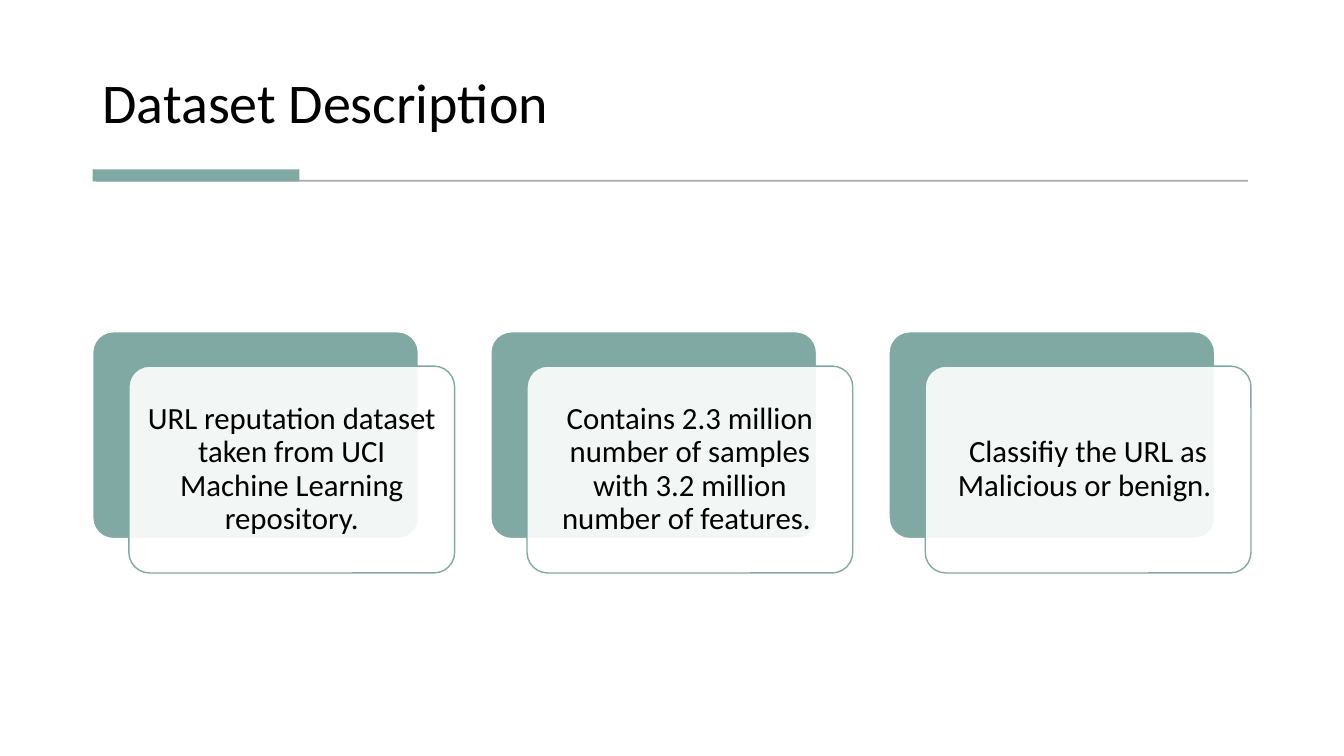
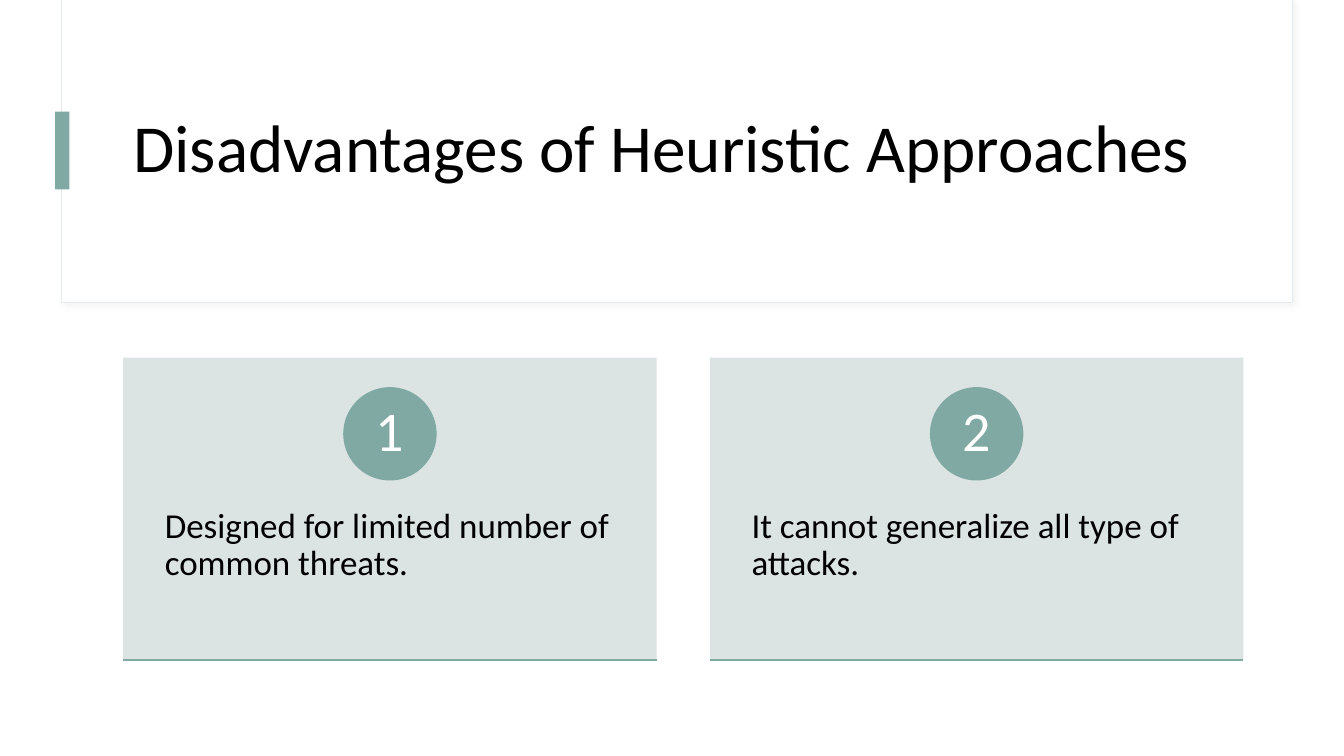
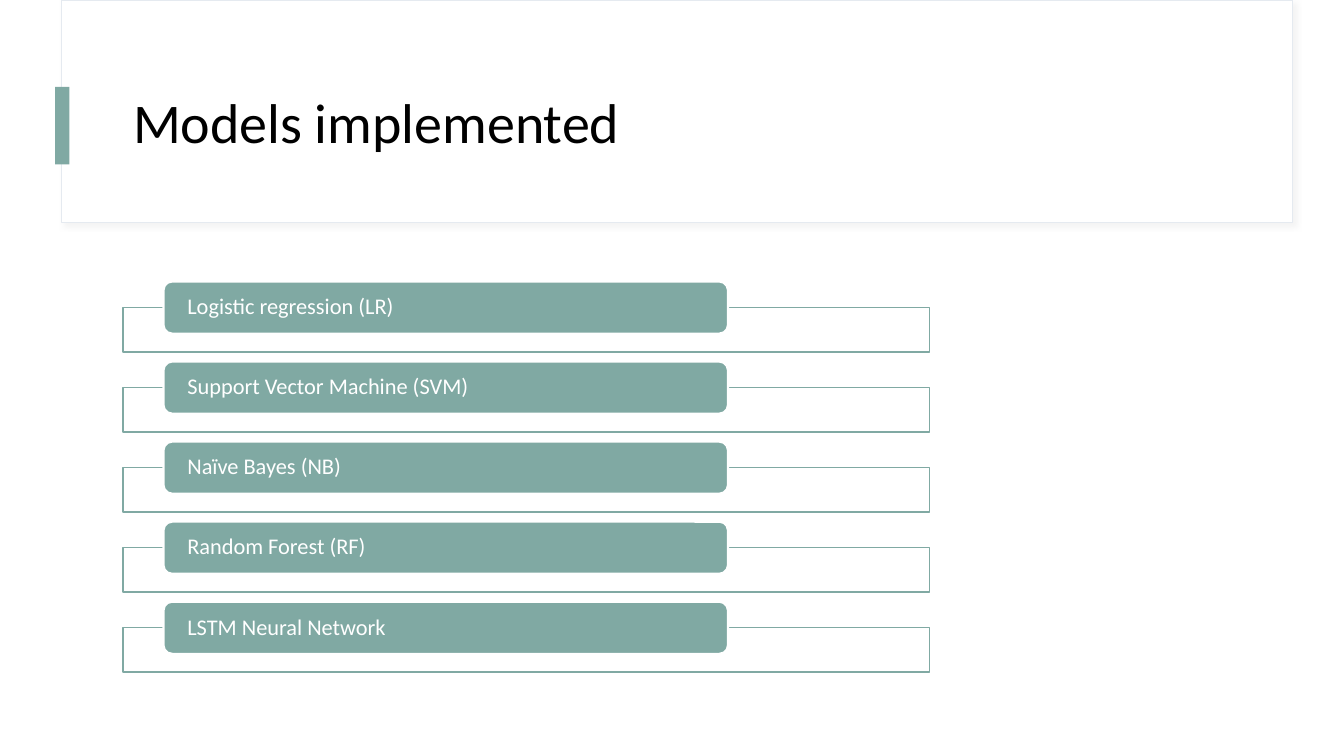
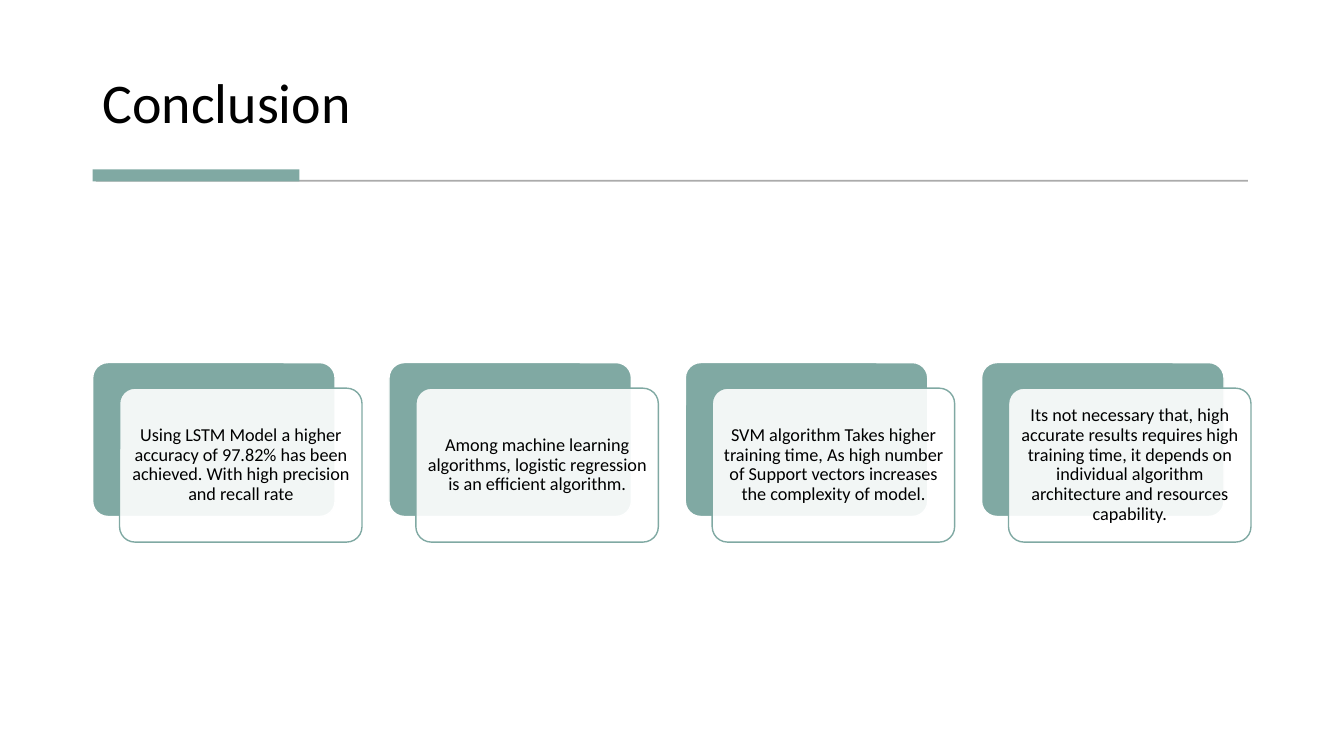
from pptx import Presentation
from pptx.dml.color import RGBColor
from pptx.enum.shapes import MSO_CONNECTOR, MSO_SHAPE
from pptx.enum.text import MSO_ANCHOR, PP_ALIGN
from pptx.oxml import parse_xml
from pptx.oxml.ns import nsdecls
from pptx.util import Emu, Pt

RECT, ROUND, OVAL = MSO_SHAPE.RECTANGLE, MSO_SHAPE.ROUNDED_RECTANGLE, MSO_SHAPE.OVAL
STRAIGHT = MSO_CONNECTOR.STRAIGHT
TOP, MIDDLE, BOTTOM = MSO_ANCHOR.TOP, MSO_ANCHOR.MIDDLE, MSO_ANCHOR.BOTTOM
LEFT, CENTER = PP_ALIGN.LEFT, PP_ALIGN.CENTER

# Shared style: a grid of 160 columns by 90 rows, square cells
COLUMNS, ROWS, CELL = 160, 90, 76200
POINTS_PER_CELL = 6
FONT = "Calibri"
BLACK, WHITE, TEAL = "000000", "FFFFFF", "80A9A3"
MIST, FRAME, GREY = "D8E2E0", "E5EAF0", "595959"
CONTENT_LEFT, CONTENT_WIDTH = 11.03, 137.9
HEADER_LEFT = 14.67


def color(code):
    return RGBColor.from_string(code)


def grid(*lengths):
    return [Emu(round(length * CELL)) for length in lengths]


def apply(target, values):
    for name, value in values.items():
        setattr(target, name, value)


class Deck:
    def __init__(self):
        self.show = Presentation()
        self.show.slide_width, self.show.slide_height = grid(COLUMNS, ROWS)
        self.page = None

    def new_page(self):
        self.page = self.show.slides.add_slide(self.show.slide_layouts[6])

    # Basic elements
    def fade(self, shape, fill_place, percent):
        for tint in shape.element.spPr.xpath(fill_place + "/a:srgbClr"):
            tint.append(parse_xml(f'<a:alpha {nsdecls("a")} val="{percent * 1000}"/>'))

    def shape(self, kind, place, fill, line=None, width=1, alpha=None, corner=None):
        shape = self.page.shapes.add_shape(kind, *grid(*place))
        shape.shadow.inherit = False
        shape.fill.solid()
        shape.fill.fore_color.rgb = color(fill)
        if line:
            shape.line.color.rgb = color(line)
            shape.line.width = Pt(width)
        else:
            shape.line.fill.background()
        if alpha:
            self.fade(shape, "./a:solidFill", alpha)
        if corner:
            shape.adjustments[0] = corner
        return shape

    def rule(self, left, top, width, ink, weight=1, alpha=None):
        line = self.page.shapes.add_connector(
            STRAIGHT, *grid(left, top, left + width, top))
        line.line.color.rgb = color(ink)
        line.line.width = Pt(weight)
        line.element.spPr.append(parse_xml(f'<a:effectLst {nsdecls("a")}/>'))
        if alpha:
            self.fade(line, "./a:ln/a:solidFill", alpha)

    def put_text(self, box, text, size, ink=BLACK, align=LEFT, anchor=MIDDLE,
                 margins=(1.2, 0.6, 1.2, 0.6)):
        left, top, right, bottom = grid(*margins)
        frame = box.text_frame
        apply(frame, {"word_wrap": True, "vertical_anchor": anchor,
                      "margin_left": left, "margin_top": top,
                      "margin_right": right, "margin_bottom": bottom})
        para = frame.paragraphs[0]
        apply(para, {"alignment": align, "line_spacing": 0.9})
        span = para.add_run()
        span.text = text
        apply(span.font, {"name": FONT, "size": Pt(size)})
        span.font.color.rgb = color(ink)

    def title(self, text, place, size=40, anchor=MIDDLE):
        box = self.page.shapes.add_textbox(*grid(*place))
        self.put_text(box, text, size, anchor=anchor)

    # Title styles
    def ruled_title(self, text):
        self.title(text, (CONTENT_LEFT, 3.36, CONTENT_WIDTH, 13.32), anchor=BOTTOM)
        self.rule(11.4, 21.53, 137.16, GREY, 1.25, 50)
        self.shape(RECT, (CONTENT_LEFT, 20.16, 24.6, 1.44), TEAL)

    def framed_title(self, text, frame_height, place, mark_top, size=40):
        frame = self.shape(RECT, (7.33, 0, 146.5, frame_height), WHITE, FRAME, 0.75)
        effects = frame.element.spPr.xpath("./a:effectLst")[0]
        effects.append(parse_xml(
            f'<a:outerShdw {nsdecls("a")} blurRad="{Pt(4)}" dist="{Pt(3)}" '
            'dir="2700000" algn="tl" rotWithShape="0"><a:srgbClr val="D9D9D9">'
            '<a:alpha val="30000"/></a:srgbClr></a:outerShdw>'))
        self.title(text, place, size)
        self.shape(RECT, (6.57, mark_top, 1.7, 9.24), TEAL)

    # Content groups
    def card_row(self, texts, size):
        # Each card steps right by a ninth of its width, with equal gaps
        width = 9 * CONTENT_WIDTH / (11 * len(texts) - 1)
        height, across, down = width * 0.635, width / 9, width * 0.95 / 9
        top = 53.85 - (height + down) / 2
        margin = 0.3 * size / POINTS_PER_CELL
        for index, text in enumerate(texts):
            left = CONTENT_LEFT + index * width * 11 / 9
            self.shape(ROUND, (left, top, width, height), TEAL, WHITE, corner=0.1)
            front = self.shape(ROUND, (left + across, top + down, width, height),
                               WHITE, TEAL, alpha=90, corner=0.1)
            self.put_text(front, text, size, align=CENTER, margins=[margin] * 4)

    def numbered_panels(self, texts):
        top, width, height, circle = 42.57, 63.5, 36, 10.95
        for index, text in enumerate(texts):
            left = HEADER_LEFT + index * width * 1.1
            panel = self.shape(RECT, (left, top, width, height), MIST, alpha=90)
            self.put_text(panel, text, 25, anchor=TOP, margins=(4.95, 17.9, 4.95, 0))
            badge = self.shape(OVAL, (left + (width - circle) / 2, top + 3.6,
                                      circle, circle), TEAL, TEAL)
            self.put_text(badge, str(index + 1), 40, WHITE, CENTER,
                          margins=(0.84, 0.12, 0.84, 0.12))
            self.rule(left, top + height, width, TEAL)

    def label_list(self, texts):
        for index, text in enumerate(texts):
            top = 33.52 + index * 9.53
            self.shape(RECT, (HEADER_LEFT, top + 3.1, 96, 5.29), WHITE, TEAL, alpha=90)
            label = self.shape(ROUND, (19.47, top, 67.2, 6.2), TEAL, WHITE, 1.5)
            self.put_text(label, text, 16, WHITE, margins=(2.54, 0, 2.54, 0))


def main():
    deck = Deck()

    # Dataset
    deck.new_page()
    deck.ruled_title("Dataset Description")
    deck.card_row([
        "URL reputation dataset taken from UCI Machine Learning repository.",
        "Contains 2.3 million number of samples with 3.2 million number of features. ",
        "Classifiy the URL as Malicious or benign. ",
    ], 22)

    # Disadvantages
    deck.new_page()
    deck.framed_title("Disadvantages of Heuristic Approaches", 36,
                      (HEADER_LEFT, 4.56, 133.4, 26.88), 13.3, 48)
    deck.numbered_panels([
        "Designed for limited number of common threats.",
        "It cannot generalize all type of attacks.",
    ])

    # Models
    deck.new_page()
    deck.framed_title("Models implemented", 26.5,
                      (HEADER_LEFT, 7.2, 133.4, 15.48), 10.35)
    deck.label_list([
        "Logistic regression (LR)",
        "Support Vector Machine (SVM)",
        "Naïve Bayes (NB)",
        "Random Forest (RF)",
        "LSTM Neural Network",
    ])

    # Conclusion
    deck.new_page()
    deck.ruled_title("Conclusion")
    deck.card_row([
        "Using LSTM Model a higher accuracy of 97.82% has been achieved. "
        "With high precision and recall rate",
        "Among machine learning algorithms, logistic regression is an efficient algorithm.",
        "SVM algorithm Takes higher training time, As high number of Support vectors "
        "increases the complexity of model.",
        "Its not necessary that, high accurate results requires high training time, "
        "it depends on individual algorithm architecture and resources capability.",
    ], 13)

    deck.show.save("out.pptx")


if __name__ == "__main__":
    main()
